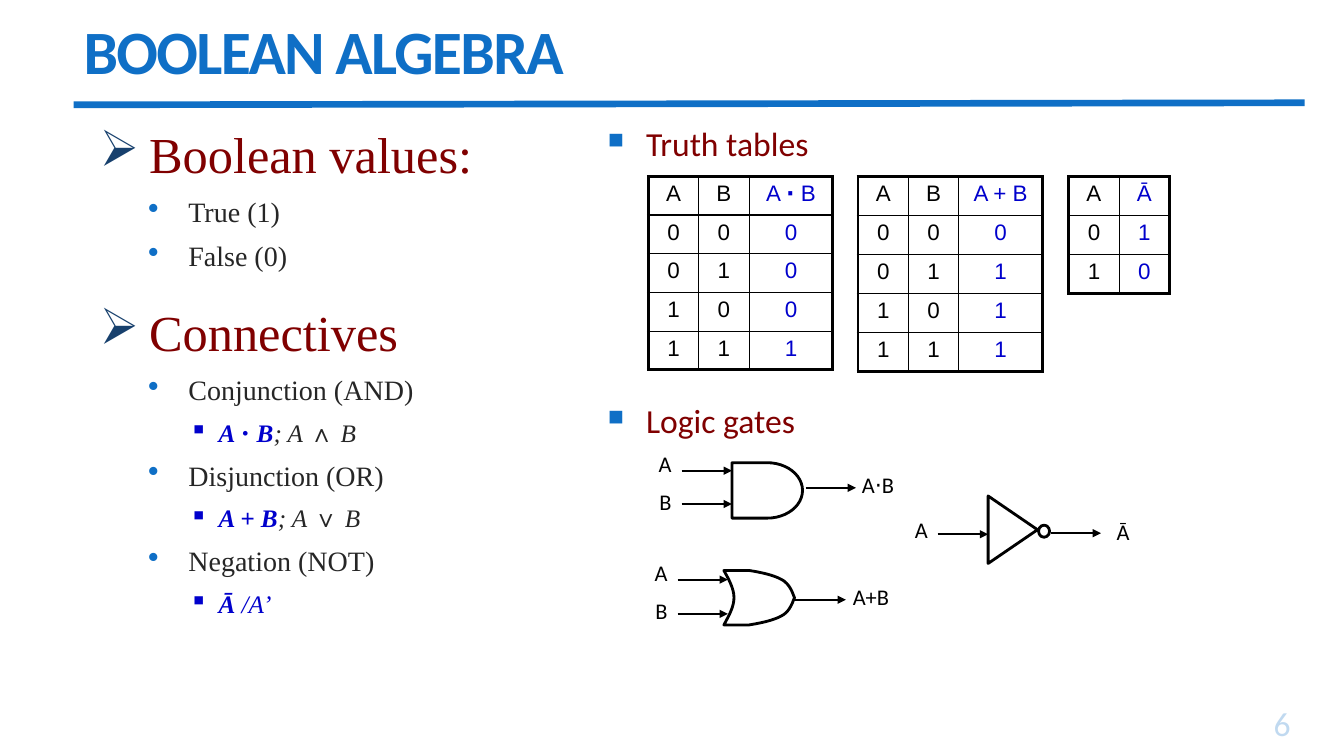
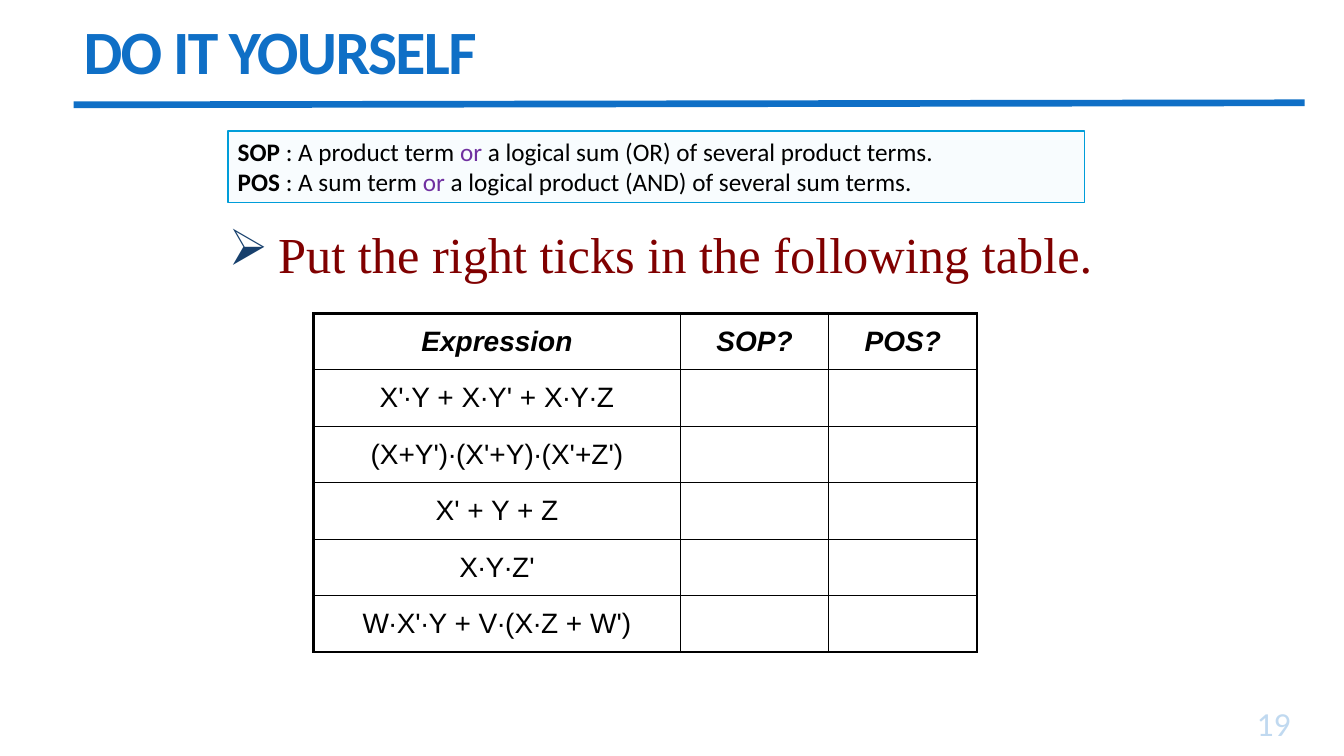
from dataclasses import dataclass
from itertools import product
from typing import Callable, NamedTuple, Optional, Sequence, Union

from lxml.etree import SubElement
from pptx import Presentation
from pptx.dml.color import RGBColor
from pptx.enum.shapes import MSO_CONNECTOR, MSO_SHAPE as Preset
from pptx.enum.text import MSO_ANCHOR as Anchor, PP_ALIGN as Align
from pptx.oxml.ns import qn
from pptx.util import Inches, Pt


@dataclass(frozen=True)
class Theme:
    blue: str = "0F6FC6"
    navy: str = "17406D"
    maroon: str = "800000"
    body: str = "262626"
    result: str = "0000CC"
    purple: str = "7030A0"
    black: str = "000000"
    box_fill: str = "F8FCFE"
    box_line: str = "009DD9"
    sans: str = "Calibri"
    serif: str = "Times New Roman"
    grid: str = "Arial"
    title_size: int = 44
    heading_size: int = 36
    section_size: int = 24
    item_size: int = 20
    detail_size: int = 18
    label_size: int = 16
    outer_border: float = 2.25
    inner_border: float = 1


THEME = Theme()


class Run(NamedTuple):
    text: str
    color: Optional[str] = None
    bold: Optional[bool] = None


class Bullet(NamedTuple):
    char: str
    left: float
    hanging: float
    level: int = 0
    color: Optional[str] = None
    percent: Optional[int] = None


class TruthTable(NamedTuple):
    left: float
    height: float
    inputs: str
    output: Union[str, Sequence[Run]]
    rule: Callable[..., int]


class Wire(NamedTuple):
    left: float
    y: float


class Label(NamedTuple):
    left: float
    top: float
    width: float
    lines: Sequence[str]
    align: Align = Align.RIGHT


Content = Union[str, Sequence[Run]]
ARROW = Bullet("➢", 0.49, 0.49, color=THEME.navy)
DOT = Bullet("•", 0.88, 0.4, 1, THEME.blue, 112)
SMALL_SQUARE = Bullet("▪", 1.18, 0.29, 2, THEME.result)
SQUARE = Bullet("■", 0.38, 0.38, color=THEME.blue, percent=65)


# Text
def set_bullet(paragraph, bullet: Bullet) -> None:
    paragraph.level = bullet.level
    props = paragraph._p.get_or_add_pPr()
    props.set("marL", str(Inches(bullet.left)))
    props.set("indent", str(-Inches(bullet.hanging)))
    if bullet.color:
        SubElement(SubElement(props, qn("a:buClr")), qn("a:srgbClr"), val=bullet.color)
    if bullet.percent:
        SubElement(props, qn("a:buSzPct"), val=str(bullet.percent * 1000))
    SubElement(props, qn("a:buChar"), char=bullet.char)


def write(frame, text: Content, *, size: float, font: str = THEME.sans,
          color: str = THEME.black, bold: bool = False, italic: bool = False,
          align: Align = Align.LEFT, before: float = 0, line: float = 1,
          bullet: Optional[Bullet] = None, tracking: float = 0,
          opacity: Optional[int] = None) -> None:
    """Add one paragraph; the first one fills the empty paragraph of the frame."""
    first = frame.paragraphs[0]
    paragraph = frame.add_paragraph() if first.runs else first
    if bullet:
        set_bullet(paragraph, bullet)
    paragraph.alignment = align
    paragraph.line_spacing = line
    paragraph.space_before = Pt(before)
    for part in [Run(text)] if isinstance(text, str) else text:
        run = paragraph.add_run()
        run.text = part.text
        run.font.size, run.font.name = Pt(size), font
        run.font.bold = bold if part.bold is None else part.bold
        run.font.italic = italic
        run.font.color.rgb = RGBColor.from_string(part.color or color)
        props = run._r.get_or_add_rPr()
        if tracking:
            props.set("spc", str(round(tracking * 100)))
        if opacity is not None:
            SubElement(props.find(".//" + qn("a:srgbClr")), qn("a:alpha"),
                       val=str(opacity * 1000))


def add_frame(slide, left: float, top: float, width: float, height: float,
              anchor: Anchor = Anchor.TOP):
    box = slide.shapes.add_textbox(Inches(left), Inches(top), Inches(width), Inches(height))
    frame = box.text_frame
    frame.word_wrap, frame.vertical_anchor = True, anchor
    return frame


# Lines and shapes
def add_line(slide, x1: float, y1: float, x2: float, y2: float, *,
             color: str = THEME.black, weight: float = 1.5, arrow: bool = False) -> None:
    line = slide.shapes.add_connector(
        MSO_CONNECTOR.STRAIGHT, Inches(x1), Inches(y1), Inches(x2), Inches(y2))
    line.line.color.rgb = RGBColor.from_string(color)
    line.line.width = Pt(weight)
    if arrow:
        SubElement(line.line._get_or_add_ln(), qn("a:tailEnd"), type="triangle")
    SubElement(line._element.spPr, qn("a:effectLst"))


def style(shape, *, fill: Optional[str] = None, line: str = THEME.black, weight: float = 2):
    shape.shadow.inherit = False
    if fill:
        shape.fill.solid()
        shape.fill.fore_color.rgb = RGBColor.from_string(fill)
    else:
        shape.fill.background()
    shape.line.color.rgb = RGBColor.from_string(line)
    shape.line.width = Pt(weight)
    return shape


def add_preset(slide, preset: Preset, left: float, top: float, width: float,
               height: float, **look):
    return style(slide.shapes.add_shape(
        preset, Inches(left), Inches(top), Inches(width), Inches(height)), **look)


# Tables
def set_border(cell, side: str, weight: float) -> None:
    line = SubElement(cell._tc.get_or_add_tcPr(), qn(f"a:ln{side}"), w=str(Pt(weight)))
    SubElement(SubElement(line, qn("a:solidFill")), qn("a:srgbClr"), val=THEME.black)


def add_grid(slide, left: float, top: float, widths: Sequence[float], height: float,
             rows: Sequence[Sequence[Content]], *, size: float, side_margin: float = 0.1,
             anchor: Anchor = Anchor.TOP, header_emphasis: bool = False,
             last_color: str = THEME.black) -> None:
    last_row, last_col = len(rows) - 1, len(widths) - 1
    table = slide.shapes.add_table(len(rows), len(widths), Inches(left), Inches(top),
                                   Inches(sum(widths)), Inches(height)).table
    table.first_row = table.horz_banding = False
    for column, width in zip(table.columns, widths):
        column.width = Inches(width)
    for r, row in enumerate(rows):
        for c, text in enumerate(row):
            cell = table.cell(r, c)
            cell.margin_left = cell.margin_right = Inches(side_margin)
            cell.vertical_anchor = anchor
            for side, outer in (("L", c == 0), ("R", c == last_col),
                                ("T", r == 0), ("B", r == last_row)):
                set_border(cell, side, THEME.outer_border if outer else THEME.inner_border)
            cell.fill.background()
            if text:
                emphasis = header_emphasis and r == 0
                write(cell.text_frame, text, size=size, font=THEME.grid, bold=emphasis,
                      italic=emphasis, align=Align.CENTER,
                      color=last_color if c == last_col else THEME.black)


# Parts shared by the slides
def add_slide(deck, title: str, number: int):
    slide = deck.slides.add_slide(deck.slide_layouts[6])
    add_line(slide, 0.73, 1.04, 12.94, 1.02, color=THEME.blue, weight=4.75)
    write(add_frame(slide, 11.6, 7, 1.3, 0.42, Anchor.BOTTOM), str(number),
          size=THEME.section_size, color=THEME.blue, align=Align.RIGHT, opacity=25)
    write(add_frame(slide, 0.73, 0.08, 11.78, 0.94, Anchor.MIDDLE), title,
          size=THEME.title_size, color=THEME.blue, bold=True, line=0.85, tracking=-1.2)
    return slide


def write_heading(frame, text: str, before: float = 0) -> None:
    write(frame, text, size=THEME.heading_size, font=THEME.serif, color=THEME.maroon,
          line=0.9, before=before, bullet=ARROW)


# Boolean algebra slide
def add_outline(slide) -> None:
    frame = add_frame(slide, 0.89, 1.24, 4.44, 5.29)

    def item(text: str) -> None:
        write(frame, text, size=THEME.item_size, font=THEME.serif, color=THEME.body,
              line=0.9, before=10, bullet=DOT)

    write_heading(frame, "Boolean values:")
    item("True (1)")
    item("False (0)")
    write_heading(frame, "Connectives", before=25)
    for name, formula, rest in (
        ("Conjunction (AND)", "A ⋅ B", [Run("; A "), Run("∧", bold=True), Run(" B")]),
        ("Disjunction (OR)", "A + B", [Run("; A "), Run("∨", bold=True), Run(" B")]),
        ("Negation (NOT)", "Ā", [Run(" /A’", THEME.result)]),
    ):
        item(name)
        write(frame, [Run(formula, THEME.result, True), *rest], size=THEME.detail_size,
              font=THEME.serif, color=THEME.body, italic=True, line=0.9, before=10,
              bullet=SMALL_SQUARE)


def add_truth_table(slide, truth: TruthTable) -> None:
    cases = product((0, 1), repeat=len(truth.inputs))
    rows = [[*truth.inputs, truth.output]]
    rows += [[str(value) for value in (*case, truth.rule(*case))] for case in cases]
    widths = (0.5, 0.5, 0.83)[:len(rows[0])]
    add_grid(slide, truth.left, 1.75, widths, truth.height, rows, size=THEME.label_size,
             side_margin=0.01, last_color=THEME.result)


def curve(a, b, c, d, steps: int = 12) -> list:
    """Points along a cubic Bézier curve."""
    return [tuple((1 - t) ** 3 * p + 3 * (1 - t) ** 2 * t * q + 3 * (1 - t) * t ** 2 * r
                  + t ** 3 * s for p, q, r, s in zip(a, b, c, d))
            for t in (step / steps for step in range(steps + 1))]


def add_or_body(slide, axis: float) -> None:
    upper = (curve((7.28, 0), (7.28, -0.09), (7.23, -0.18), (7.18, -0.27))
             + curve((7.43, -0.27), (7.56, -0.25), (7.69, -0.22), (7.77, -0.17))
             + curve((7.77, -0.17), (7.84, -0.12), (7.86, -0.05), (7.88, 0)))
    outline = upper + [(x, -y) for x, y in reversed(upper)]
    points = [(Inches(x), Inches(axis + y)) for x, y in outline]
    builder = slide.shapes.build_freeform(*points[0])
    builder.add_line_segments(points[1:], close=True)
    style(builder.convert_to_shape())


def add_gates(slide) -> None:
    add_preset(slide, Preset.FLOWCHART_DELAY, 7.26, 4.59, 0.7, 0.55)
    add_or_body(slide, 5.93)
    add_preset(slide, Preset.FLOWCHART_MERGE, 9.71, 5.01, 0.67, 0.49).rotation = 270
    add_preset(slide, Preset.OVAL, 10.3, 5.21, 0.11, 0.12)
    for wire in (Wire(6.76, 4.67), Wire(6.76, 5), Wire(7.99, 4.84),
                 Wire(6.72, 5.75), Wire(6.72, 6.09), Wire(7.89, 5.95),
                 Wire(9.3, 5.3), Wire(10.42, 5.29)):
        add_line(slide, wire.left, wire.y, wire.left + 0.5, wire.y, arrow=True)
    for label in (Label(6.43, 4.42, 0.33, "AB"), Label(8.45, 4.62, 0.67, ["A⋅B"], Align.LEFT),
                  Label(6.35, 5.5, 0.37, "AB"), Label(8.36, 5.74, 0.67, ["A+B"], Align.LEFT),
                  Label(8.93, 5.07, 0.37, "A"), Label(10.88, 5.09, 0.42, "Ā")):
        frame = add_frame(slide, label.left, label.top, label.width,
                          0.4 * len(label.lines) - 0.03)
        for index, text in enumerate(label.lines):
            write(frame, text, size=THEME.label_size, align=label.align,
                  before=8 if index else 0)


def build_algebra(deck) -> None:
    slide = add_slide(deck, "BOOLEAN ALGEBRA", 6)
    add_outline(slide)
    for top, section in ((1.17, "Truth tables"), (3.92, "Logic gates")):
        write(add_frame(slide, 5.93, top, 3.92, 0.58), section, size=THEME.section_size,
              color=THEME.maroon, bullet=SQUARE)
    conjunction = [Run("A "), Run("⋅ ", bold=True), Run("B")]
    for truth in (TruthTable(6.43, 1.92, "AB", conjunction, lambda a, b: a & b),
                  TruthTable(8.51, 1.94, "AB", "A + B", lambda a, b: a | b),
                  TruthTable(10.6, 1.16, "A", "Ā", lambda a: 1 - a)):
        add_truth_table(slide, truth)
    add_gates(slide)


# Exercise slide
def build_exercise(deck) -> None:
    slide = add_slide(deck, "DO IT YOURSELF", 19)
    definitions = add_preset(slide, Preset.RECTANGLE, 2.26, 1.3, 8.5, 0.71,
                             fill=THEME.box_fill, line=THEME.box_line, weight=1).text_frame
    definitions.word_wrap, definitions.vertical_anchor = True, Anchor.TOP
    for term, start, end in (
        ("SOP", " : A product term ", " a logical sum (OR) of several product terms."),
        ("POS", " : A sum term ", " a logical product (AND) of several sum terms."),
    ):
        write(definitions, [Run(term, bold=True), Run(start), Run("or", THEME.purple), Run(end)],
              size=THEME.detail_size)
    write_heading(add_frame(slide, 2.17, 2.23, 9, 0.67),
                  "Put the right ticks in the following table.")
    expressions = ("X'∙Y + X∙Y' + X∙Y∙Z", "(X+Y')∙(X'+Y)∙(X'+Z')", "X' + Y + Z",
                   "X∙Y∙Z'", "W∙X'∙Y + V∙(X∙Z + W')")
    rows = [("Expression", "SOP?", "POS?"), *((text, "", "") for text in expressions)]
    add_grid(slide, 3.11, 3.11, (3.64, 1.47, 1.47), 3.36, rows, size=THEME.item_size,
             anchor=Anchor.MIDDLE, header_emphasis=True)


def main() -> None:
    deck = Presentation()
    deck.slide_width, deck.slide_height = Inches(13.33), Inches(7.5)
    build_algebra(deck)
    build_exercise(deck)
    deck.save("out.pptx")


if __name__ == "__main__":
    main()
